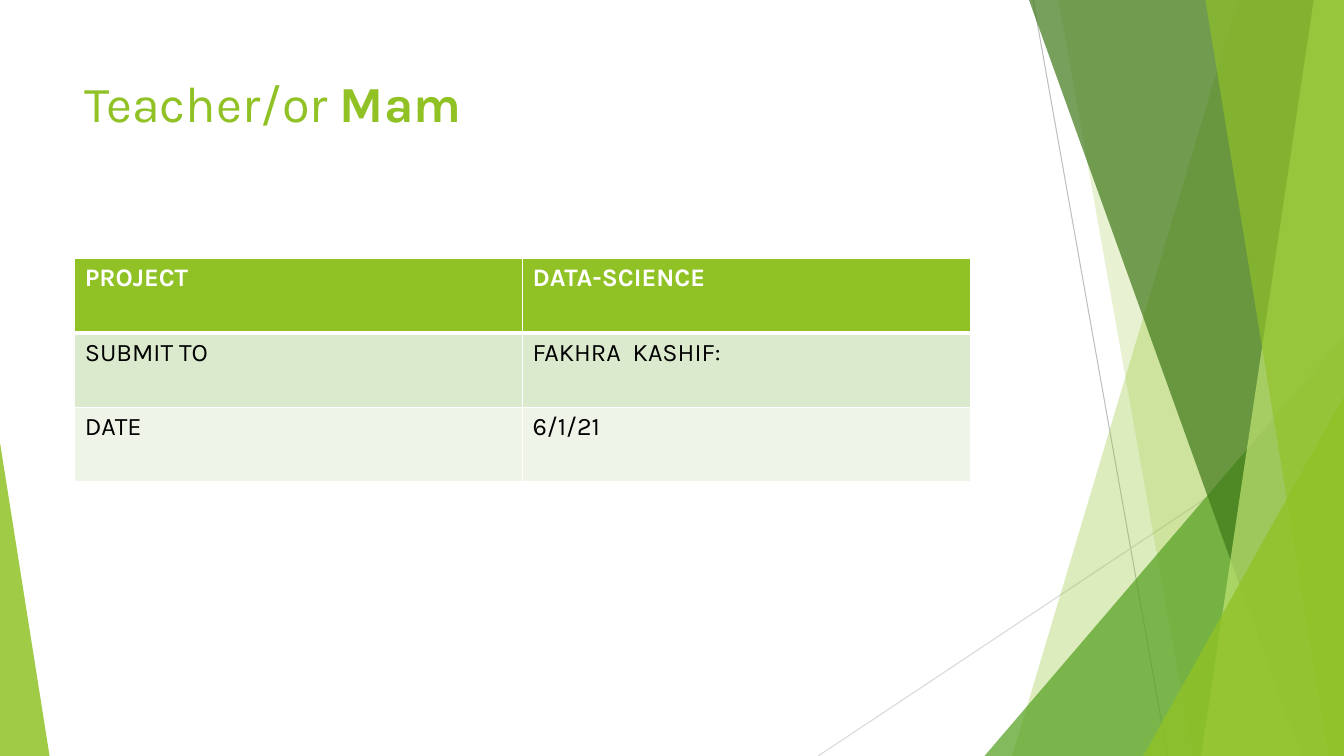
from dataclasses import dataclass

from lxml.etree import SubElement
from pptx import Presentation
from pptx.dml.color import RGBColor
from pptx.enum.shapes import MSO_CONNECTOR, MSO_SHAPE
from pptx.enum.text import MSO_ANCHOR, MSO_AUTO_SIZE, PP_ALIGN
from pptx.oxml import parse_xml
from pptx.oxml.ns import nsdecls, qn
from pptx.util import Inches, Pt

COLUMNS, ROWS = 16, 9
SLIDE_WIDTH, SLIDE_HEIGHT = Inches(13.33), Inches(7.5)
FONT = "Karla"
COLORS = {
    "lime": "90C226",
    "pale lime": "C0E474",
    "green": "54A021",
    "forest": "3F7819",
    "gray": "BFBFBF",
    "light gray": "D9D9D9",
    "odd row": "DBE9CD",
    "even row": "EEF4E8",
    "white": "FFFFFF",
    "black": "000000",
}


@dataclass
class Box:
    left: float
    top: float
    width: float
    height: float

    def point(self, column, row):
        return (
            round((self.left + column) * SLIDE_WIDTH / COLUMNS),
            round((self.top + row) * SLIDE_HEIGHT / ROWS),
        )

    def frame(self, left=0, top=0):
        start = self.point(left, top)
        end = self.point(self.width, self.height)
        return (*start, end[0] - start[0], end[1] - start[1])


def color(name):
    return RGBColor.from_string(COLORS[name])


def apply_format(target, values):
    for name, value in values.items():
        setattr(target, name, value)


def add_run(paragraph, text, size, color_name, bold):
    run = paragraph.add_run()
    run.text = text
    apply_format(run.font, {"name": FONT, "size": Pt(size), "bold": bold})
    run.font.color.rgb = color(color_name)


def paint_facet(shape, color_name, opacity):
    shape.shadow.inherit = False
    shape.line.fill.background()
    shape.fill.solid()
    shape.fill.fore_color.rgb = color(color_name)
    fill_color = shape.element.spPr.find(qn("a:solidFill")).find(qn("a:srgbClr"))
    SubElement(fill_color, qn("a:alpha"), val=str(opacity * 1000))


def add_line(slide, box, start, end, color_name):
    line = slide.shapes.add_connector(
        MSO_CONNECTOR.STRAIGHT, *box.point(*start), *box.point(*end)
    )
    line.line.color.rgb = color(color_name)
    line.line.width = Pt(0.75)
    SubElement(line.element.spPr, qn("a:effectLst"))


def add_band(slide, box, top_column, bottom_column, color_name, opacity):
    builder = slide.shapes.build_freeform(*box.point(top_column, 0))
    builder.add_line_segments(
        [
            box.point(box.width, 0),
            box.point(box.width, box.height),
            box.point(bottom_column, box.height),
        ]
    )
    paint_facet(builder.convert_to_shape(), color_name, opacity)


def add_corner(slide, box, left, top, color_name, opacity, apex=1):
    shape = slide.shapes.add_shape(
        MSO_SHAPE.ISOSCELES_TRIANGLE, *box.frame(left, top)
    )
    shape.adjustments[0] = apex
    paint_facet(shape, color_name, opacity)


def add_right_facets(slide, box):
    add_line(slide, box, (3.3, 0), (4.9, box.height), "gray")
    add_line(slide, box, (box.width, 4.84), (0.74, box.height), "light gray")
    for add_facet, *values in (
        (add_band, 5.74, 3.05, "lime", 30),
        (add_band, 3.6, 5.2, "lime", 20),
        (add_corner, 2.72, 4, "green", 72),
        (add_band, 3.25, 6.49, "forest", 70),
        (add_band, 6.64, 5.3, "pale lime", 70),
        (add_band, 5.35, 6.82, "lime", 65),
        (add_corner, 4.61, 4.72, "lime", 80),
    ):
        add_facet(slide, box, *values)


def add_title(slide, box, parts):
    title = slide.shapes.title
    apply_format(title, dict(zip(("left", "top", "width", "height"), box.frame())))
    apply_format(
        title.text_frame,
        {
            "word_wrap": True,
            "auto_size": MSO_AUTO_SIZE.NONE,
            "vertical_anchor": MSO_ANCHOR.TOP,
        },
    )
    paragraph = title.text_frame.paragraphs[0]
    paragraph.alignment = PP_ALIGN.LEFT
    for text, bold in parts:
        add_run(paragraph, text, 36, "lime", bold)


def set_borders(cell, widths):
    properties = cell._tc.get_or_add_tcPr()
    for index, (side, width) in enumerate(widths.items()):
        border = parse_xml(
            f'<a:ln{side} {nsdecls("a")} w="{Pt(width)}"><a:solidFill>'
            f'<a:srgbClr val="{COLORS["white"]}"/></a:solidFill></a:ln{side}>'
        )
        properties.insert(index, border)


def add_project_table(slide, box, rows):
    table = slide.shapes.add_table(len(rows), len(rows[0]), *box.frame()).table
    fills = ("lime", "odd row", "even row")
    for row_index, texts in enumerate(rows):
        header = row_index == 0
        borders = {
            "L": 1,
            "R": 1,
            "T": 3 if row_index == 1 else 1,
            "B": 3 if header else 1,
        }
        for column_index, text in enumerate(texts):
            cell = table.cell(row_index, column_index)
            cell.fill.solid()
            cell.fill.fore_color.rgb = color(fills[row_index])
            set_borders(cell, borders)
            text_color = "white" if header else "black"
            add_run(cell.text_frame.paragraphs[0], text, 18, text_color, header)


def build_project_slide(presentation):
    slide = presentation.slides.add_slide(presentation.slide_layouts[5])
    add_right_facets(slide, Box(9, 0, 7, ROWS))
    add_corner(slide, Box(0, 5.27, 0.59, 3.73), 0, 0, "lime", 85, apex=0)
    add_title(
        slide, Box(0.89, 0.8, 11.28, 1.73), (("Teacher/or ", False), ("Mam", True))
    )
    add_project_table(
        slide,
        Box(0.89, 3.08, 10.66, 2.66),
        (
            ("PROJECT", "DATA-SCIENCE"),
            ("SUBMIT TO", "FAKHRA  KASHIF:"),
            ("DATE", "6/1/21"),
        ),
    )


presentation = Presentation()
apply_format(
    presentation, {"slide_width": SLIDE_WIDTH, "slide_height": SLIDE_HEIGHT}
)
build_project_slide(presentation)
presentation.save("out.pptx")
